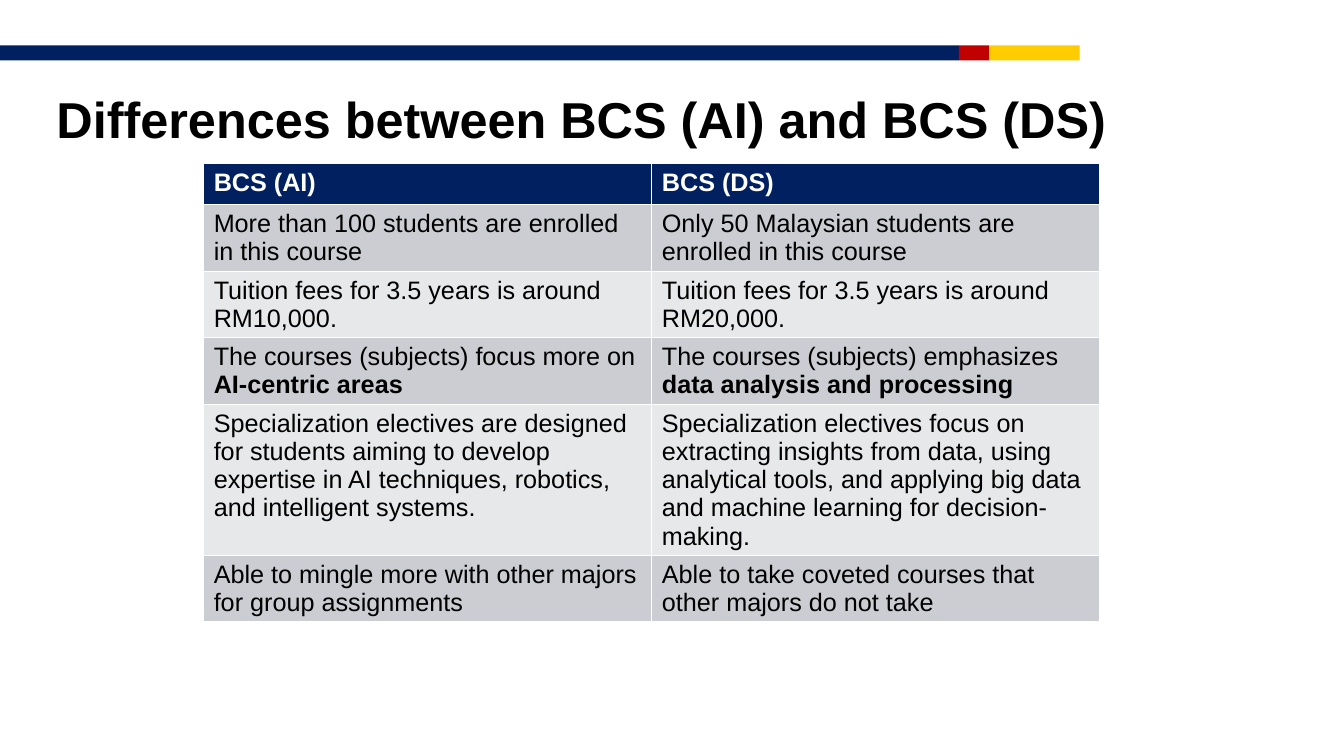
from pptx import Presentation
from pptx import util as u
from pptx.dml.color import RGBColor
from pptx.enum import shapes, text

NAVY = RGBColor(0x00, 0x20, 0x60)
YELLOW = RGBColor(0xFF, 0xCC, 0x00)
RED = RGBColor(0xC0, 0x00, 0x00)
BLACK = RGBColor(0x00, 0x00, 0x00)
WHITE = RGBColor(0xFF, 0xFF, 0xFF)
DARK_BAND = RGBColor(0xCC, 0xCD, 0xD2)
LIGHT_BAND = RGBColor(0xE7, 0xE8, 0xEA)


def format_span(span, size, color, bold):
    values = {"name": "Arial", "size": u.Pt(size), "bold": bold}
    for name, value in values.items():
        setattr(span.font, name, value)
    span.font.color.rgb = color


deck = Presentation()
deck.slide_width, deck.slide_height = u.Inches(13.33), u.Inches(7.5)
page = deck.slides.add_slide(deck.slide_layouts[5])

# Stripe: each segment starts where the previous one ends
left = 0
for width, color in [(9.51, NAVY), (0.3, RED), (0.9, YELLOW)]:
    segment = page.shapes.add_shape(
        shapes.MSO_SHAPE.RECTANGLE,
        u.Inches(left), u.Inches(0.45), u.Inches(width), u.Inches(0.15))
    segment.shadow.inherit = False
    segment.fill.solid()
    segment.fill.fore_color.rgb = color
    segment.line.fill.background()
    left += width

title = page.shapes.title
place = {"left": 0.46, "top": 0.44, "width": 12.74, "height": 1.47}
for name, value in place.items():
    setattr(title, name, u.Inches(value))
title.text_frame.auto_size = text.MSO_AUTO_SIZE.NONE
title.text_frame.vertical_anchor = text.MSO_ANCHOR.MIDDLE
para = title.text_frame.paragraphs[0]
para.alignment = text.PP_ALIGN.LEFT
span = para.add_run()
span.text = "Differences between BCS (AI) and BCS (DS)"
format_span(span, 36, BLACK, True)

# Each cell is a plain part, optionally followed by a bold part
comparison = [
    [["BCS (AI)"], ["BCS (DS)"]],
    [["More than 100 students are enrolled in this course"],
     ["Only 50 Malaysian students are enrolled in this course"]],
    [["Tuition fees for 3.5 years is around RM10,000."],
     ["Tuition fees for 3.5 years is around RM20,000."]],
    [["The courses (subjects) focus more on ", "AI-centric areas"],
     ["The courses (subjects) emphasizes ", "data analysis and processing"]],
    [["Specialization electives are designed for students aiming to develop "
      "expertise in AI techniques, robotics, and intelligent systems."],
     ["Specialization electives focus on extracting insights from data, using "
      "analytical tools, and applying big data and machine learning for "
      "decision-making."]],
    [["Able to mingle more with other majors for group assignments"],
     ["Able to take coveted courses that other majors do not take"]],
]
ROW_HEIGHT = 0.41
frame = page.shapes.add_table(
    len(comparison), 2, u.Inches(2.02), u.Inches(1.62),
    u.Inches(8.89), u.Inches(ROW_HEIGHT * len(comparison)))
frame.height = u.Inches(4.81)
for row, entries in enumerate(comparison):
    header = row == 0
    band = NAVY if header else DARK_BAND if row % 2 else LIGHT_BAND
    for column, parts in enumerate(entries):
        cell = frame.table.cell(row, column)
        cell.fill.solid()
        cell.fill.fore_color.rgb = band
        for index, part in enumerate(parts):
            span = cell.text_frame.paragraphs[0].add_run()
            span.text = part
            format_span(span, 18, WHITE if header else BLACK, header or index == 1)

deck.save("out.pptx")
